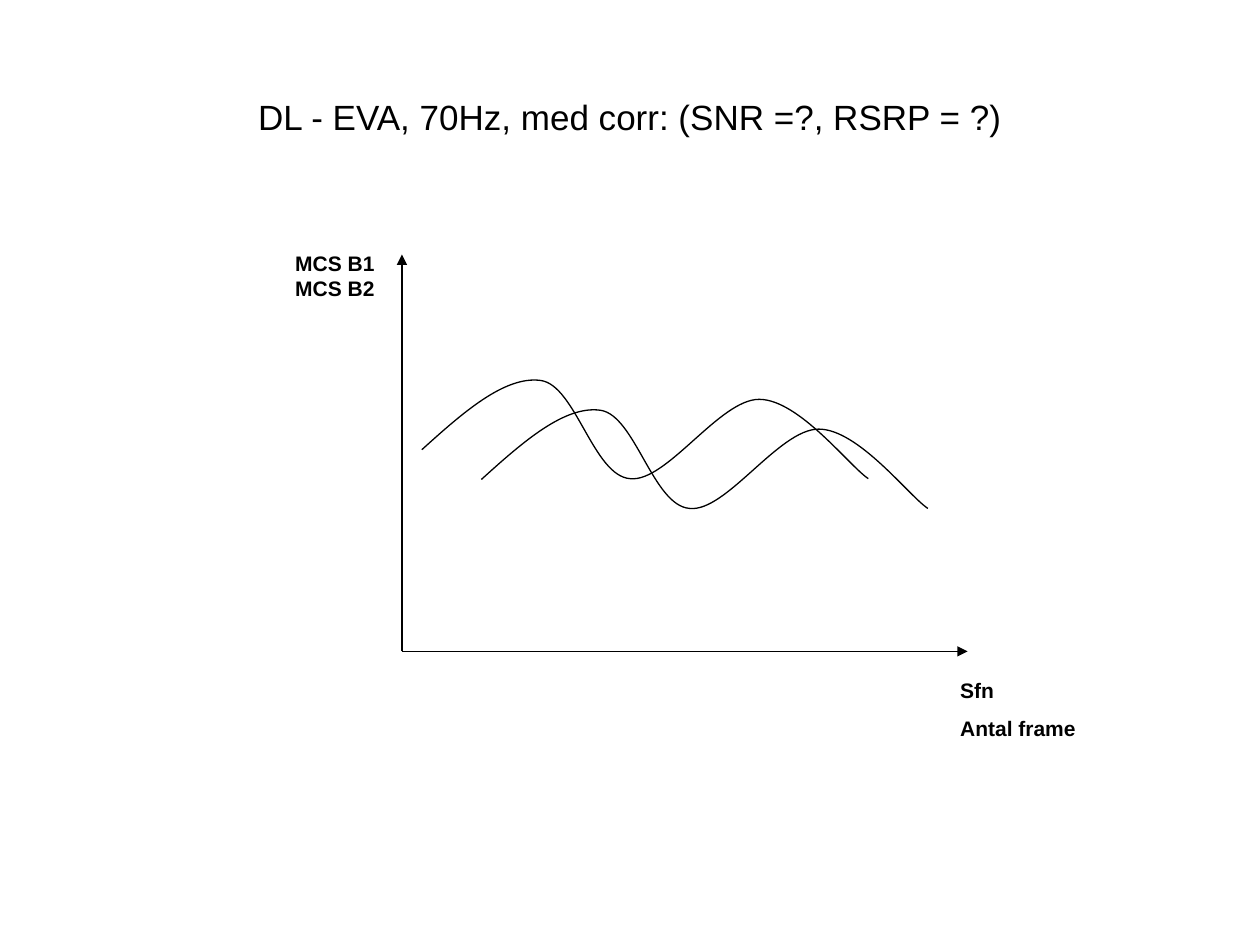
from lxml import etree
from pptx import Presentation
from pptx.dml.color import RGBColor
from pptx.enum.shapes import MSO_CONNECTOR
from pptx.enum.text import MSO_ANCHOR, PP_ALIGN
from pptx.oxml.ns import qn
from pptx.util import Inches, Pt

STRAIGHT = MSO_CONNECTOR.STRAIGHT
TOP, MIDDLE = MSO_ANCHOR.TOP, MSO_ANCHOR.MIDDLE
LEFT, CENTER = PP_ALIGN.LEFT, PP_ALIGN.CENTER

BLACK = "000000"
FONT = "Arial"
LINE_WIDTH = 0.75
GRID_ROWS = 20

# Cubic Bézier control points in grid columns and rows from the plot's top left.
WAVE = [
    (1, 9.84),
    (3.1, 7.94), (5.2, 6.1), (7, 6.35),
    (8.75, 6.6), (9.65, 11.17), (11.5, 11.3),
    (13.33, 11.5), (16, 7.3), (18, 7.3),
    (20, 7.3), (22.55, 10.67), (23.5, 11.3),
]
WAVE_SHIFTS = [(3, 1.5), (0, 0)]


def color(value):
    return RGBColor.from_string(value)


def add_text(slide, box, lines, size=12, bold=False, align=LEFT, anchor=TOP,
             wrap=True, space_before=0):
    shape = slide.shapes.add_textbox(*(Inches(length) for length in box))
    frame = shape.text_frame
    frame.word_wrap = wrap
    frame.vertical_anchor = anchor
    for index, line in enumerate(lines):
        paragraph = frame.paragraphs[0] if index == 0 else frame.add_paragraph()
        paragraph.alignment = align
        paragraph.space_before = Pt(space_before if index else 0)
        run = paragraph.add_run()
        run.text = line
        run.font.name = FONT
        run.font.size = Pt(size)
        run.font.bold = bold
        run.font.color.rgb = color(BLACK)


def style_line(shape):
    shape.line.color.rgb = color(BLACK)
    shape.line.width = Pt(LINE_WIDTH)


def add_arrow(slide, start, end):
    arrow = slide.shapes.add_connector(
        STRAIGHT, *(Inches(length) for length in (*start, *end)))
    style_line(arrow)
    properties = arrow._element.spPr
    etree.SubElement(properties.find(qn("a:ln")), qn("a:tailEnd"), type="triangle")
    etree.SubElement(properties, qn("a:effectLst"))


def add_curve(slide, controls):
    """Draw the control polygon, then turn every three sides into one Bézier."""
    start, *rest = [(Inches(x), Inches(y)) for x, y in controls]
    builder = slide.shapes.build_freeform(*start)
    builder.add_line_segments(rest, close=False)
    curve = builder.convert_to_shape()
    curve.shadow.inherit = False
    curve.fill.background()
    style_line(curve)

    sides = list(curve._element.iter(qn("a:lnTo")))
    outline = sides[0].getparent()
    for first in range(0, len(sides), 3):
        bezier = etree.SubElement(outline, qn("a:cubicBezTo"))
        for side in sides[first:first + 3]:
            bezier.append(side[0])
            outline.remove(side)


def add_title(slide, box):
    add_text(slide, box, ["DL - EVA, 70Hz, med corr: (SNR =?, RSRP = ?)"],
             size=20, align=CENTER, anchor=MIDDLE)


def add_plot(slide, box):
    """Draw the axes, the two waves and the axis labels around the plot area."""
    left, top, width, height = box
    right, bottom = left + width, top + height
    cell = height / GRID_ROWS

    for end in ((right, bottom), (left, top)):
        add_arrow(slide, (left, bottom), end)

    for columns, rows in WAVE_SHIFTS:
        add_curve(slide, [(left + (x + columns) * cell, top + (y + rows) * cell)
                          for x, y in WAVE])

    add_text(slide, (left - 6 * cell, top - cell / 2, 0.83, 0.5),
             ["MCS B1", "MCS B2"], bold=True, wrap=False)
    add_text(slide, (right - cell, bottom + cell, 1.18, 0.61),
             ["Sfn", "Antal frame"], bold=True, space_before=7.5)


def main():
    presentation = Presentation()
    presentation.slide_width = Inches(10)
    presentation.slide_height = Inches(7.5)
    slide = presentation.slides.add_slide(presentation.slide_layouts[6])
    add_title(slide, (0.5, 0.3, 9, 1.25))
    add_plot(slide, (3.19, 2.02, 4.49, 3.15))
    presentation.save("out.pptx")


if __name__ == "__main__":
    main()
